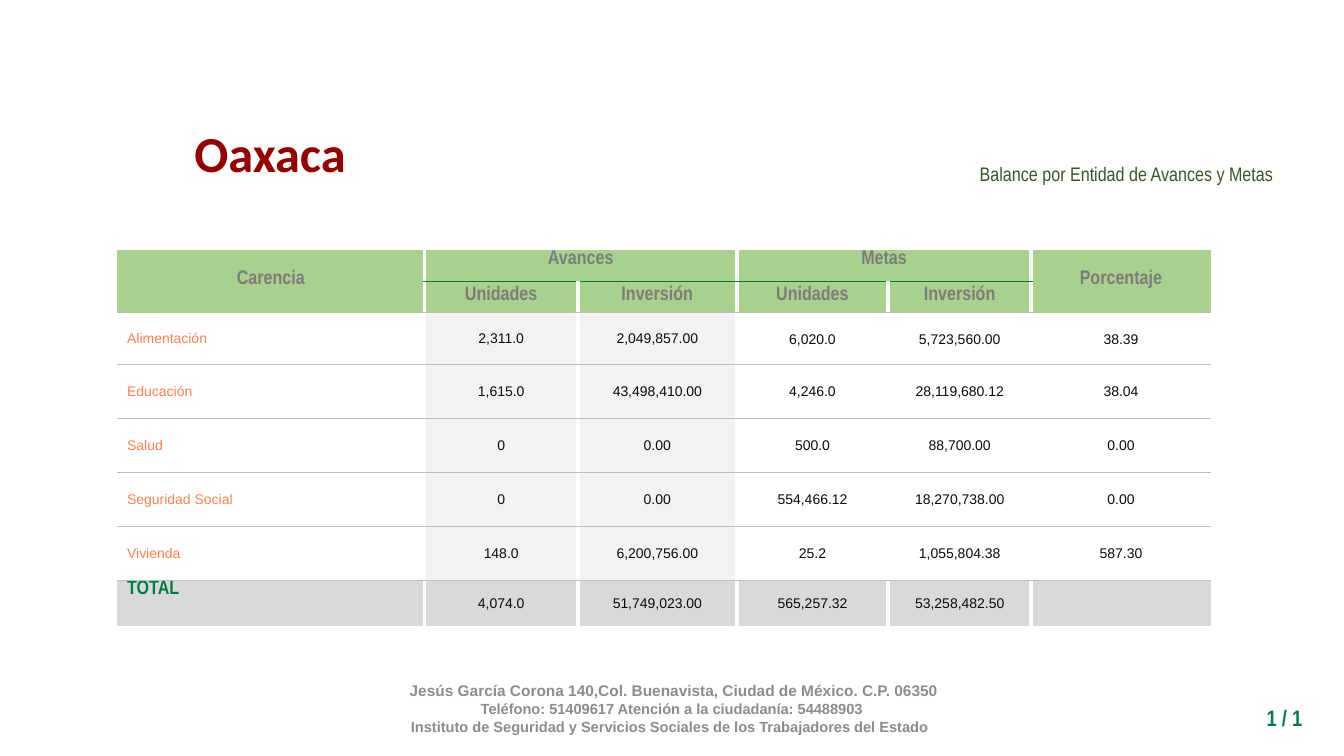
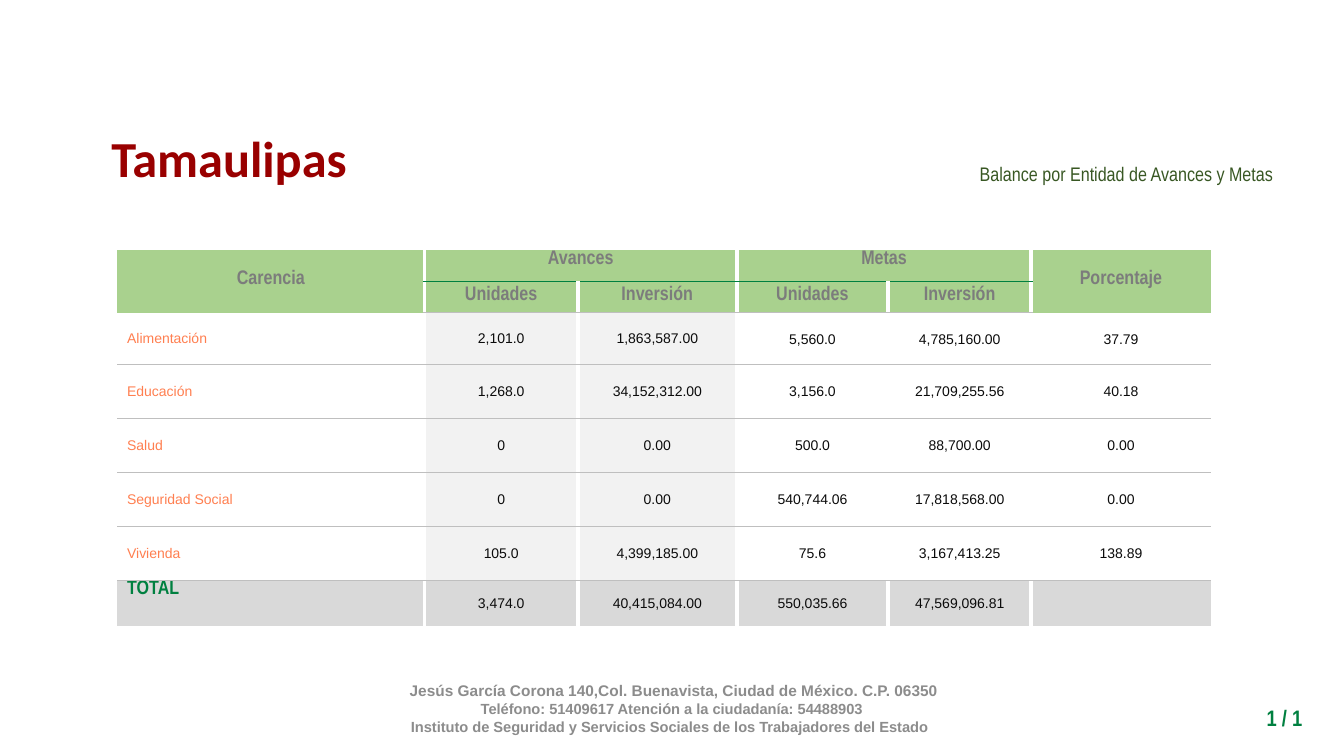
"""Build the balance slides, one per state, with their shared title, table and footer."""
from dataclasses import dataclass
from typing import Optional

from lxml.etree import SubElement
from pptx import Presentation
from pptx.dml.color import RGBColor
from pptx.enum.text import MSO_ANCHOR, PP_ALIGN
from pptx.oxml.ns import qn
from pptx.util import Cm, Pt

COLORS = {
    "title": "990000", "subtitle": "385723", "green": "008040", "footer": "8C8C8C",
    "head_fill": "A9D18E", "head_text": "7C7C7C", "label": "FF7F50", "value": "0B0B0B",
    "progress_fill": "F2F2F2", "total_fill": "D9D9D9", "rule": "BFBFBF", "white": "FFFFFF",
}
COL_WIDTHS = (7.75, 3.86, 4.01, 3.81, 3.61, 4.52)
ROW_HEIGHTS = (0.79, 0.79, 1.31, 1.35, 1.36, 1.36, 1.36, 1.16)
LAST_ROW, LAST_COL = len(ROW_HEIGHTS) - 1, len(COL_WIDTHS) - 1
HEADER = (
    ("Carencia", "Avances", "", "Metas", "", "Porcentaje"),
    ("", "Unidades", "Inversión", "Unidades", "Inversión", ""),
)
MERGES = (((0, 0), (1, 0)), ((0, 1), (0, 2)), ((0, 3), (0, 4)), ((0, 5), (1, 5)))
LABELS = ("Alimentación", "Educación", "Salud", "Seguridad Social", "Vivienda", "TOTAL")


@dataclass(frozen=True)
class Style:
    size: float
    font: str
    color: str
    bold: bool = False


@dataclass(frozen=True)
class Box:
    left: float
    top: float
    width: float
    height: float
    align: PP_ALIGN = PP_ALIGN.CENTER
    anchor: MSO_ANCHOR = MSO_ANCHOR.TOP
    wrap: bool = True


@dataclass(frozen=True)
class State:
    name: str
    title_box: Box
    values: tuple


@dataclass(frozen=True)
class Line:
    color: str
    width: float


TITLE = Style(36, "Calibri", "title", True)
SUBTITLE = Style(14, "Arial Narrow", "subtitle")
PAGE = Style(16, "Arial Narrow", "green", True)
HEAD = Style(14, "Arial Narrow", "head_text", True)
TOTAL = Style(14, "Arial Narrow", "green", True)
LABEL = Style(10, "Arial", "label")
VALUE = Style(10, "Arial", "value")
FOOT_LARGE = Style(11, "Arial", "footer", True)
FOOT_SMALL = Style(10.5, "Arial", "footer", True)

SUBTITLE_BOX = Box(17, 3.12, 15.34, 2.41, PP_ALIGN.RIGHT, MSO_ANCHOR.MIDDLE)
PAGE_BOX = Box(29.87, 17.63, 3.2, 0.94, PP_ALIGN.RIGHT)
FOOTER_BOX = Box(7.32, 17.58, 19.23, 1.02, anchor=MSO_ANCHOR.MIDDLE)
FOOTER = (
    (" Jesús García Corona 140,Col. Buenavista, Ciudad de México. C.P. 06350", FOOT_LARGE),
    ("Teléfono: 51409617 Atención a la ciudadanía: 54488903", FOOT_SMALL),
    ("Instituto de Seguridad y Servicios Sociales de los Trabajadores del Estado ", FOOT_SMALL),
)
SEPARATOR = Line("white", 3)
RULE = Line("rule", 0.5)
HEAD_RULE = Line("green", 0.25)

STATES = (
    State("Oaxaca", Box(4.62, 2.95, 4.37, 1.8, wrap=False), (
        ("2,311.0", "2,049,857.00", "6,020.0", "5,723,560.00", "38.39"),
        ("1,615.0", "43,498,410.00", "4,246.0", "28,119,680.12", "38.04"),
        ("0", "0.00", "500.0", "88,700.00", "0.00"),
        ("0", "0.00", "554,466.12", "18,270,738.00", "0.00"),
        ("148.0", "6,200,756.00", "25.2", "1,055,804.38", "587.30"),
        ("4,074.0", "51,749,023.00", "565,257.32", "53,258,482.50", ""),
    )),
    State("Tamaulipas", Box(2.51, 3.07, 6.53, 1.8, wrap=False), (
        ("2,101.0", "1,863,587.00", "5,560.0", "4,785,160.00", "37.79"),
        ("1,268.0", "34,152,312.00", "3,156.0", "21,709,255.56", "40.18"),
        ("0", "0.00", "500.0", "88,700.00", "0.00"),
        ("0", "0.00", "540,744.06", "17,818,568.00", "0.00"),
        ("105.0", "4,399,185.00", "75.6", "3,167,413.25", "138.89"),
        ("3,474.0", "40,415,084.00", "550,035.66", "47,569,096.81", ""),
    )),
)


def rgb(name: str) -> RGBColor:
    return RGBColor.from_string(COLORS[name])


def add_run(p, text: str, style: Style):
    r = p.add_run()
    r.text = text
    r.font.size = Pt(style.size)
    r.font.name = style.font
    r.font.bold = style.bold
    r.font.color.rgb = rgb(style.color)
    return r


def add_text(s, box: Box, lines: tuple):
    sp = s.shapes.add_textbox(Cm(box.left), Cm(box.top), Cm(box.width), Cm(box.height))
    tf = sp.text_frame
    tf.word_wrap = box.wrap
    tf.vertical_anchor = box.anchor
    for i, (text, style) in enumerate(lines):
        p = tf.add_paragraph() if i else tf.paragraphs[0]
        p.alignment = box.align
        add_run(p, text, style)
    return tf


def add_line(parent, tag: str, line: Optional[Line]):
    ln = SubElement(parent, qn(tag))
    if line is None:
        SubElement(ln, qn("a:noFill"))
    else:
        ln.set("w", str(int(Pt(line.width))))
        fill = SubElement(ln, qn("a:solidFill"))
        SubElement(fill, qn("a:srgbClr")).set("val", COLORS[line.color])
    return ln


def column_line(row: int, edge: int) -> Optional[Line]:
    outer = edge in (0, LAST_COL + 1)
    inside_merge = row == 0 and edge in (2, 4)
    return None if outer or inside_merge else SEPARATOR


def row_line(edge: int, col: int) -> Optional[Line]:
    if edge in (0, LAST_ROW + 1):
        return None
    if edge == 1:
        return HEAD_RULE if 0 < col < LAST_COL else None
    return RULE


def cell_fill(row: int, col: int) -> Optional[str]:
    if row < 2:
        return "head_fill"
    if row == LAST_ROW:
        return "total_fill"
    return "progress_fill" if col in (1, 2) else None


def cell_style(row: int, col: int) -> Style:
    if row < 2:
        return HEAD
    if col:
        return VALUE
    return TOTAL if row == LAST_ROW else LABEL


def format_cell(cell, row: int, col: int, text: str):
    tcPr = cell._tc.get_or_add_tcPr()
    add_line(tcPr, "a:lnL", column_line(row, col))
    add_line(tcPr, "a:lnR", column_line(row, col + 1))
    add_line(tcPr, "a:lnT", row_line(row, col))
    add_line(tcPr, "a:lnB", row_line(row + 1, col))
    fill = cell_fill(row, col)
    if fill:
        cell.fill.solid()
        cell.fill.fore_color.rgb = rgb(fill)
    else:
        cell.fill.background()
    top_aligned = (row == 0 and 0 < col < LAST_COL) or (row == LAST_ROW and col == 0)
    cell.vertical_anchor = MSO_ANCHOR.TOP if top_aligned else MSO_ANCHOR.MIDDLE
    if row < 2 or top_aligned:
        cell.margin_top, cell.margin_bottom = Cm(0), Cm(0.1)
    elif col > 2:
        cell.margin_left = cell.margin_right = cell.margin_top = Cm(0.03)
        cell.margin_bottom = Cm(0)
    if text:
        p = cell.text_frame.paragraphs[0]
        p.alignment = PP_ALIGN.LEFT if row > 1 and col == 0 else PP_ALIGN.CENTER
        add_run(p, text, cell_style(row, col))


def add_balance(s, values: tuple):
    rows = HEADER + tuple((label, *row) for label, row in zip(LABELS, values))
    frame = s.shapes.add_table(len(rows), len(COL_WIDTHS), Cm(2.95), Cm(6.3),
                               Cm(sum(COL_WIDTHS)), Cm(sum(ROW_HEIGHTS)))
    table = frame.table
    table.first_row = table.horz_banding = False
    for column, width in zip(table.columns, COL_WIDTHS):
        column.width = Cm(width)
    for row, height in zip(table.rows, ROW_HEIGHTS):
        row.height = Cm(height)
    for i, row in enumerate(rows):
        for j, text in enumerate(row):
            format_cell(table.cell(i, j), i, j, text)
    for first, last in MERGES:
        table.cell(*first).merge(table.cell(*last))


def add_state(prs, state: State):
    s = prs.slides.add_slide(prs.slide_layouts[6])
    tf = add_text(s, FOOTER_BOX, FOOTER)
    tf.margin_bottom = Cm(0.6)
    add_balance(s, state.values)
    tf = add_text(s, SUBTITLE_BOX, (("Balance por Entidad de Avances y Metas", SUBTITLE),))
    tf.paragraphs[0].line_spacing = 1.15
    add_text(s, PAGE_BOX, (("1 / 1", PAGE),))
    tf = add_text(s, state.title_box, ((state.name, TITLE),))
    rPr = tf.paragraphs[0].runs[0].font._element
    rPr.insert(0, add_line(rPr, "a:ln", Line("white", 0.75)))


def main():
    prs = Presentation()
    prs.slide_width, prs.slide_height = Cm(33.87), Cm(19.05)
    for state in STATES:
        add_state(prs, state)
    prs.save("out.pptx")


if __name__ == "__main__":
    main()
